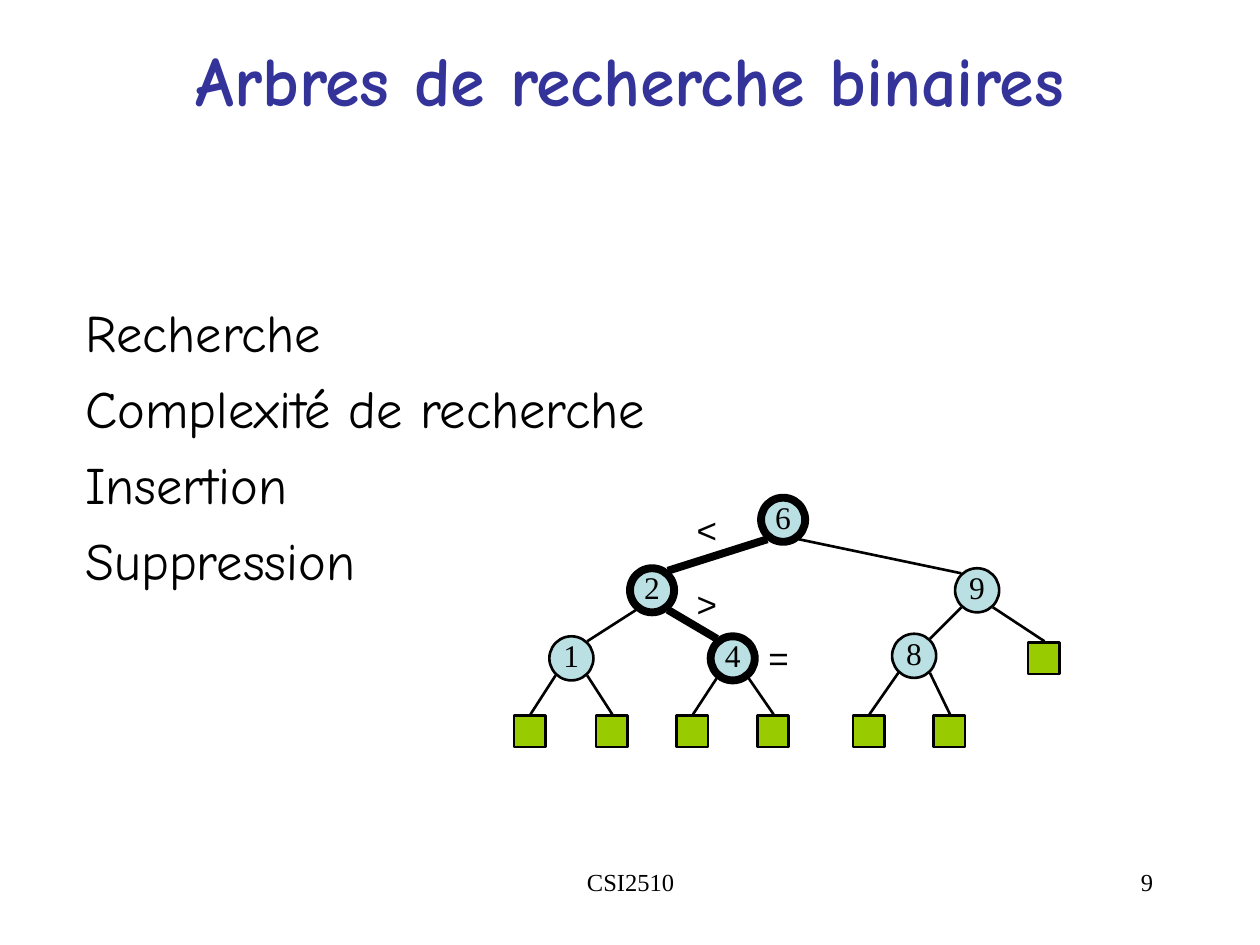
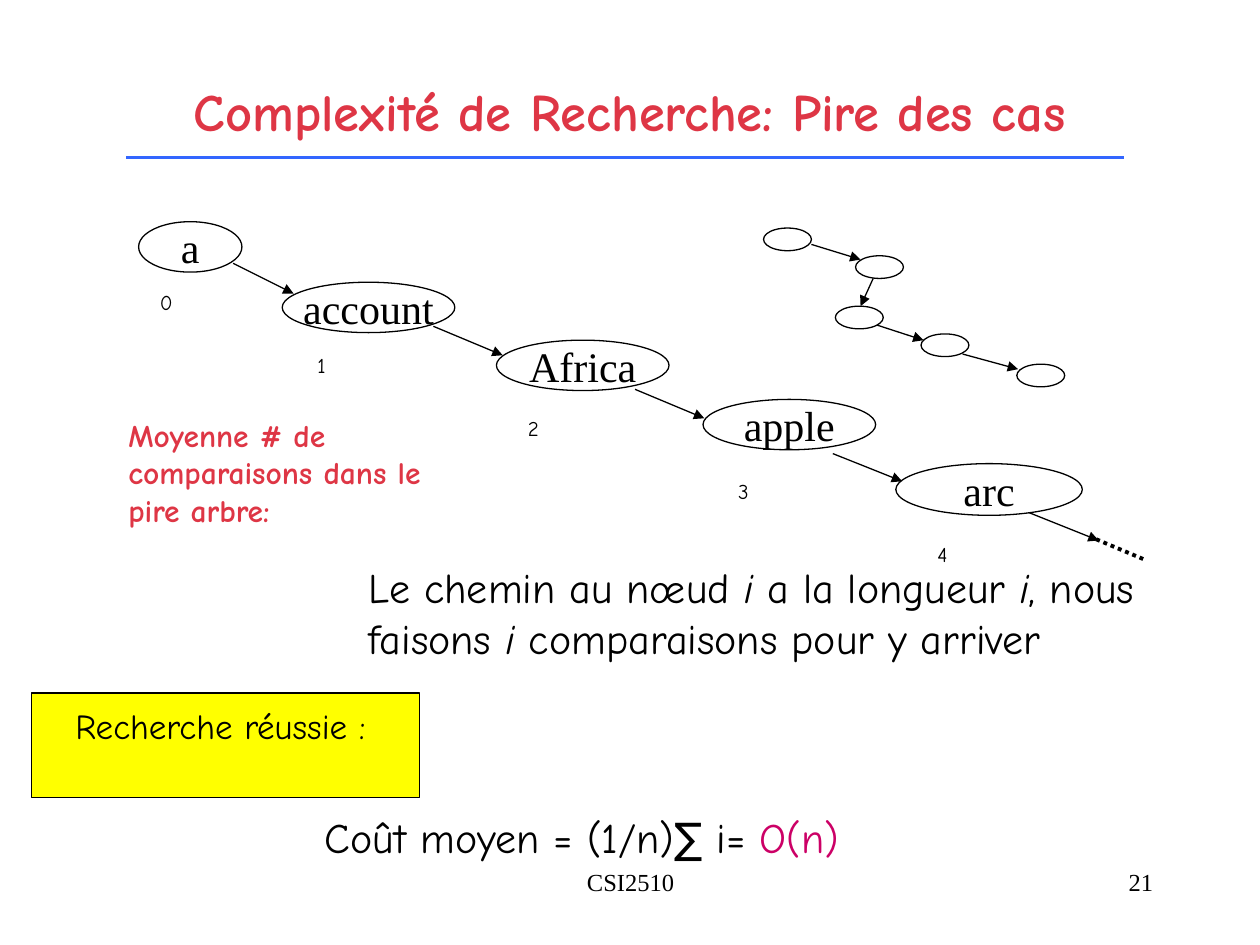
"""Build two slides on binary search trees and their worst case."""
from dataclasses import dataclass

import lxml.etree
import pptx
import pptx.dml.color
import pptx.enum.dml
import pptx.enum.shapes
import pptx.enum.text
import pptx.oxml.ns
import pptx.shapes.autoshape
import pptx.shapes.base
import pptx.shapes.connector
import pptx.slide
import pptx.util

SCALE = 9144
Point = tuple[int, int]
Box = tuple[int, int, int, int]
Kind = pptx.enum.shapes.MSO_SHAPE
Align = pptx.enum.text.PP_ALIGN
Anchor = pptx.enum.text.MSO_ANCHOR


@dataclass(frozen=True)
class Theme:
    """Colours, fonts and sizes shared by the slides."""

    black: str = "000000"
    white: str = "FFFFFF"
    navy: str = "333399"
    red: str = "DE3645"
    blue: str = "3366FF"
    node: str = "BBE0E3"
    leaf: str = "99CC00"
    note: str = "FFFF00"
    pink: str = "CC0066"
    hand: str = "Comic Neue"
    serif: str = "Times New Roman"
    sans: str = "Arial"
    head: int = 40
    body: int = 30
    large: int = 24
    sign: int = 20
    small: int = 18
    foot: int = 14
    tiny: int = 12
    hair: float = 0.75
    thin: float = 1.5
    rule: float = 2
    dots: float = 2.25
    bold: float = 4.5


@dataclass(frozen=True)
class Span:
    """A piece of text with its own slant or colour."""

    text: str
    slant: bool = False
    color: str | None = None


@dataclass(frozen=True)
class Node:
    """A tree node; one without a key is a leaf."""

    x: int
    y: int
    key: str = ""
    hot: bool = False
    kids: tuple["Node", ...] = ()

    @property
    def size(self) -> int:
        """Return the side of the node."""
        return 35 if self.key else 25


@dataclass(frozen=True)
class Word:
    """A word in the chain, its depth label and its outgoing arrow."""

    text: str
    box: Box
    label: int
    start: Point
    end: Point


LOOK = Theme()
FLOOR = 568
TREE = Node(604, 395, "6", True, (
    Node(500, 451, "2", True, (
        Node(436, 505, "1", kids=(Node(408, FLOOR), Node(473, FLOOR))),
        Node(564, 505, "4", True, (Node(537, FLOOR), Node(601, FLOOR))))),
    Node(758, 451, "9", kids=(
        Node(708, 503, "8", kids=(Node(677, FLOOR), Node(741, FLOOR))),
        Node(816, 510)))))
SIGNS = (("<", (543, 399, 36, 44)), (">", (543, 457, 36, 44)), ("=", (597, 500, 42, 44)))
WORDS = (
    Word("a", (110, 176, 82, 40), 117, (185, 209), (233, 233)),
    Word("account", (224, 224, 137, 40), 242, (344, 259), (399, 282)),
    Word("Africa", (394, 270, 137, 40), 409, (504, 309), (559, 332)),
    Word("apple", (558, 317, 137, 40), 576, (661, 360), (716, 382)),
    Word("arc", (711, 368, 148, 41), 734, (817, 407), (872, 429)),
)
DROPS = ((606, 181), (679, 203), (663, 243), (731, 265), (807, 289))
HOPS = (((644, 194), (683, 206)), ((693, 221), (683, 243)),
        ((696, 258), (733, 270)), ((764, 281), (808, 293)))


def px(size: float) -> pptx.util.Emu:
    """Turn px into EMU."""
    return pptx.util.Emu(round(size * SCALE))


def rgb(code: str) -> pptx.dml.color.RGBColor:
    """Turn a hex code into a colour."""
    return pptx.dml.color.RGBColor.from_string(code)


def write(shape: pptx.shapes.base.BaseShape, *lines: str | tuple[Span, ...],
          font: str = LOOK.hand, size: int = LOOK.large, color: str = LOOK.black,
          bold: bool = False, align: Align = Align.LEFT, anchor: Anchor = Anchor.TOP,
          pad: Box = (10, 5, 10, 5), wrap: bool = True, gap: float = 0) -> None:
    """Fill a shape with formatted paragraphs."""
    frame = shape.text_frame
    frame.auto_size = pptx.enum.text.MSO_AUTO_SIZE.NONE
    frame.word_wrap = wrap
    frame.vertical_anchor = anchor
    (frame.margin_left, frame.margin_top,
     frame.margin_right, frame.margin_bottom) = map(px, pad)
    for rank, line in enumerate(lines):
        para = frame.add_paragraph() if rank else frame.paragraphs[0]
        para.alignment = align
        para.space_before = pptx.util.Pt(gap if rank else 0)
        for span in (Span(line),) if isinstance(line, str) else line:
            run = para.add_run()
            run.text = span.text
            run.font.name = font
            run.font.size = pptx.util.Pt(size)
            run.font.bold = bold
            run.font.italic = span.slant
            run.font.color.rgb = rgb(span.color or color)


def label(slide: pptx.slide.Slide, box: Box, *lines: str | tuple[Span, ...], **style) -> None:
    """Add a text box."""
    write(slide.shapes.add_textbox(*map(px, box)), *lines, **style)


def shape(slide: pptx.slide.Slide, kind: Kind, box: Box, fill: str = LOOK.white,
          width: float = LOOK.hair) -> pptx.shapes.autoshape.Shape:
    """Add a filled shape with a black outline."""
    form = slide.shapes.add_shape(kind, *map(px, box))
    form.shadow.inherit = False
    form.fill.solid()
    form.fill.fore_color.rgb = rgb(fill)
    form.line.color.rgb = rgb(LOOK.black)
    form.line.width = pptx.util.Pt(width)
    return form


def line(slide: pptx.slide.Slide, start: Point, end: Point, width: float = LOOK.hair,
         color: str = LOOK.black, arrow: bool = False) -> pptx.shapes.connector.Connector:
    """Add a straight line, with an arrowhead if asked."""
    link = slide.shapes.add_connector(
        pptx.enum.shapes.MSO_CONNECTOR.STRAIGHT, *map(px, start + end))
    link.line.color.rgb = rgb(color)
    link.line.width = pptx.util.Pt(width)
    name = pptx.oxml.ns.qn
    props = link.element.spPr
    if arrow:
        lxml.etree.SubElement(props.find(name("a:ln")), name("a:tailEnd"), type="triangle")
    lxml.etree.SubElement(props, name("a:effectLst"))
    return link


def start(deck, title: str, top: int, page: int, **style) -> pptx.slide.Slide:
    """Add a slide with its title and footer."""
    slide = deck.slides.add_slide(deck.slide_layouts[5])
    head = slide.shapes.title
    head.left, head.top, head.width, head.height = map(px, (75, top, 850, 125))
    write(head, title, bold=True, align=Align.CENTER, anchor=Anchor.MIDDLE, **style)
    foot = {"font": LOOK.serif, "size": LOOK.foot}
    label(slide, (342, 683, 317, 50), "CSI2510", align=Align.CENTER, **foot)
    label(slide, (717, 683, 208, 50), str(page), align=Align.RIGHT, **foot)
    return slide


def edge(slide: pptx.slide.Slide, node: Node, kid: Node) -> None:
    """Join a node to its child."""
    left = kid.x < node.x
    base = (node.x + (5 if left else 30), node.y + (33 if node.hot else 31))
    if kid.key:
        tip = (kid.x + (30 if left else 5), kid.y + (2 if kid.hot else 4))
    else:
        tip = (kid.x + 13, kid.y - 1)
    line(slide, base, tip, LOOK.bold if node.hot and kid.hot else LOOK.thin)


def grow(slide: pptx.slide.Slide, node: Node) -> None:
    """Draw a node and all that hangs from it."""
    form = shape(slide, Kind.OVAL if node.key else Kind.RECTANGLE,
                 (node.x, node.y, node.size, node.size),
                 LOOK.node if node.key else LOOK.leaf,
                 LOOK.bold if node.hot else LOOK.thin)
    if node.key:
        write(form, node.key, font=LOOK.serif, size=LOOK.small, align=Align.CENTER,
              anchor=Anchor.MIDDLE, pad=(0, 0, 0, 5), wrap=False)
    for kid in node.kids:
        edge(slide, node, kid)
        grow(slide, kid)


def topics(deck) -> None:
    """Build the slide of topics with the search tree."""
    slide = start(deck, "Arbres de recherche binaires", 0, 9,
                  size=LOOK.head, color=LOOK.navy)
    label(slide, (58, 233, 850, 450), "Recherche", "Complexité de recherche",
          "Insertion", "Suppression", size=LOOK.body, gap=7.5)
    grow(slide, TREE)
    for sign, box in SIGNS:
        label(slide, box, sign, font=LOOK.sans, size=LOOK.sign,
              align=Align.CENTER, wrap=False)


def chain(slide: pptx.slide.Slide) -> None:
    """Draw the chain of words with depths and arrows."""
    for depth, word in enumerate(WORDS):
        write(shape(slide, Kind.OVAL, word.box), word.text, font=LOOK.serif,
              align=Align.CENTER, anchor=Anchor.MIDDLE, wrap=False)
        label(slide, (word.label, 225 + 50 * depth, 28, 30), str(depth),
              size=LOOK.tiny, wrap=False)
    for word in WORDS:
        line(slide, word.start, word.end, arrow=True)
    tail = line(slide, (870, 428), (908, 444), LOOK.dots)
    tail.line.dash_style = pptx.enum.dml.MSO_LINE.ROUND_DOT


def worst(deck) -> None:
    """Build the slide on the worst case."""
    slide = start(deck, "Complexité de Recherche: Pire des cas", 25, 21,
                  size=LOOK.body, color=LOOK.red)
    line(slide, (100, 125), (892, 125), LOOK.rule, LOOK.blue)
    chain(slide)
    for x, y in DROPS:
        shape(slide, Kind.OVAL, (x, y, 38, 18))
    for base, tip in HOPS:
        line(slide, base, tip, arrow=True)
    label(slide, (92, 325, 296, 100), "Moyenne # de comparaisons dans le pire arbre:",
          size=LOOK.small, color=LOOK.red, bold=True)
    path_i = Span("i", slant=True)
    label(slide, (283, 441, 675, 90),
          (Span("Le chemin au nœud "), path_i, Span(" a la longueur "), path_i,
           Span(", nous faisons "), path_i, Span(" comparaisons pour y arriver")))
    label(slide, (248, 639, 439, 50),
          (Span("Coût moyen = (1/n)∑ i= "), Span("O(n)", color=LOOK.pink)), wrap=False)
    write(shape(slide, Kind.RECTANGLE, (25, 550, 308, 83), LOOK.note),
          "Recherche réussie :", size=LOOK.sign, align=Align.CENTER,
          pad=(10, 9, 18, 5), wrap=False)


def main() -> None:
    """Build and save the deck."""
    deck = pptx.Presentation()
    deck.slide_width, deck.slide_height = px(1000), px(750)
    topics(deck)
    worst(deck)
    deck.save("out.pptx")


if __name__ == "__main__":
    main()
